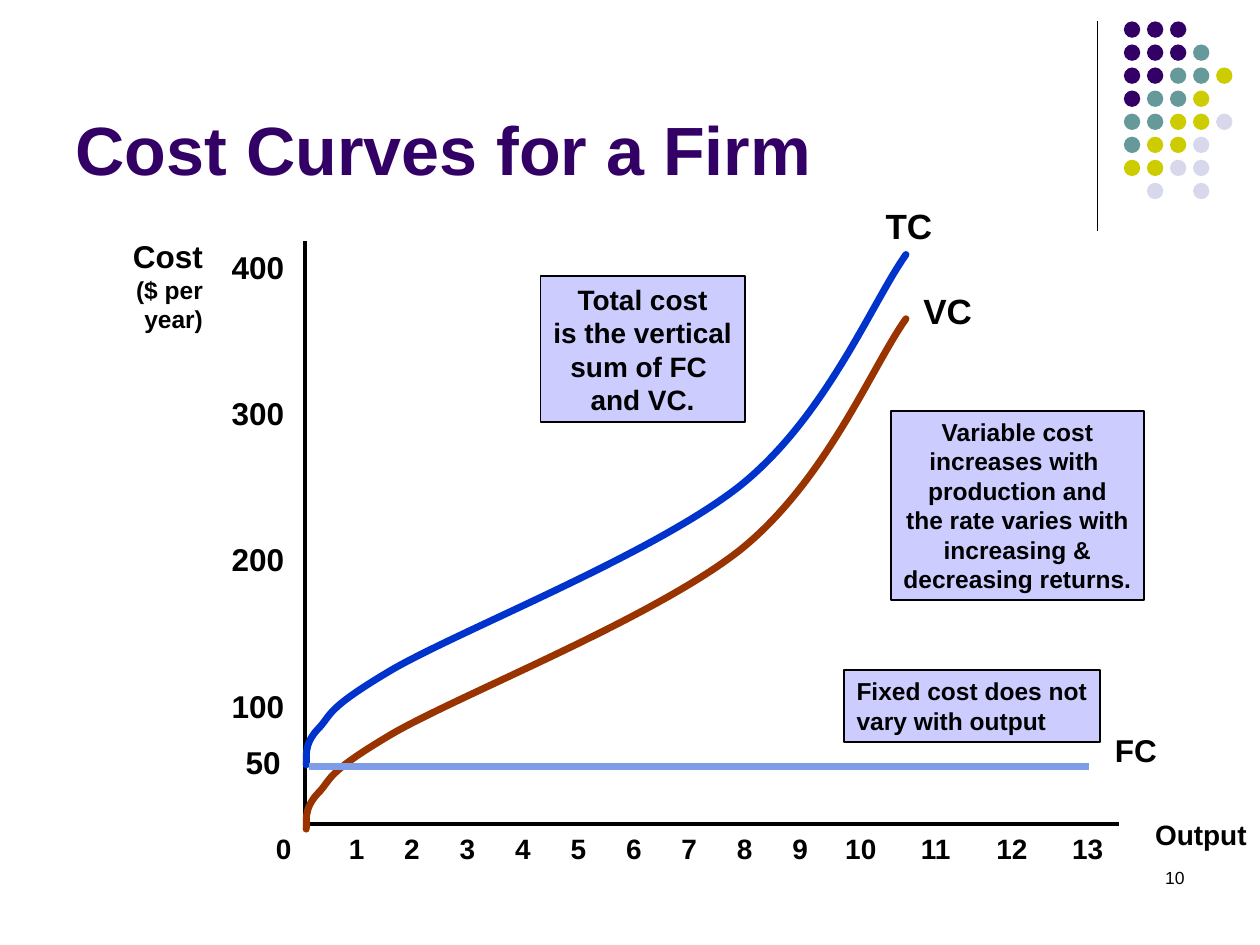
from typing import NamedTuple

from lxml import etree
from pptx import Presentation
from pptx.dml.color import RGBColor
from pptx.enum.shapes import MSO_CONNECTOR, MSO_SHAPE
from pptx.enum.text import MSO_ANCHOR, MSO_AUTO_SIZE, PP_ALIGN
from pptx.oxml.ns import qn
from pptx.util import Inches, Pt

LEFT, MID, RIGHT = PP_ALIGN.LEFT, PP_ALIGN.CENTER, PP_ALIGN.RIGHT
TOP, BOTTOM = MSO_ANCHOR.TOP, MSO_ANCHOR.BOTTOM
FIT, FIXED = MSO_AUTO_SIZE.SHAPE_TO_FIT_TEXT, MSO_AUTO_SIZE.NONE
RECT, OVAL = MSO_SHAPE.RECTANGLE, MSO_SHAPE.OVAL
STRAIGHT = MSO_CONNECTOR.STRAIGHT

BLACK, PURPLE, LILAC = "000000", "330066", "CCCCFF"
DOTS = {"P": PURPLE, "T": "669999", "Y": "CCCC00", "L": "D8D8EC"}
DOT_ROWS = ["PPP", "PPPT", "PPTTY", "PTTY", "TTYYL", "TYYL", "YYLL", " L L"]


class Box(NamedTuple):
    x: float
    y: float
    w: float
    h: float


class Label(NamedTuple):
    text: str
    box: Box
    size: float


class Note(NamedTuple):
    lines: list[str]
    box: Box
    size: float
    align: PP_ALIGN


class Line(NamedTuple):
    start: tuple[float, float]
    end: tuple[float, float]
    color: str
    width: float


class Curve(NamedTuple):
    rise: float
    color: str


# Start point, then three points (two handles and an end) for each Bezier arc
VC_POINTS = [
    (2.43, 6.58), (2.44, 6.53), (2.4, 6.43), (2.52, 6.3),
    (2.64, 6.18), (2.56, 6.15), (3.12, 5.82),
    (3.68, 5.5), (5.2, 4.9), (5.88, 4.36),
    (6.56, 3.81), (6.92, 2.91), (7.19, 2.53),
]
CURVES = [Curve(0, "993300"), Curve(0.51, "0033CC")]

RULE = Line((8.71, 0.17), (8.71, 1.83), BLACK, 0.75)
AXES = [
    Line((2.42, 1.91), (2.42, 6.57), BLACK, 2),
    Line((2.42, 6.54), (8.88, 6.54), BLACK, 2),
]
FIXED_COST = Line((2.45, 6.08), (8.64, 6.08), "7E9CE8", 4)

LABELS = [
    Label("Output", Box(9.07, 6.44, 0.96, 0.36), 16),
    Label("VC", Box(7.23, 2.25, 0.59, 0.43), 20),
    Label("TC", Box(6.93, 1.57, 0.57, 0.43), 20),
    Label("FC", Box(8.75, 5.75, 0.61, 0.4), 18),
    Label("50", Box(1.85, 5.85, 0.48, 0.4), 18),
    Label("0", Box(2.09, 6.55, 0.32, 0.36), 16),
]
LABELS += [Label(str(400 - 100 * i), Box(1.74, 1.92 + 1.16 * i, 0.62, 0.4), 18)
           for i in range(4)]
LABELS += [Label(str(n), Box(2.67 + 0.44 * (n - 1), 6.55, 0.32, 0.36), 16)
           for n in range(1, 10)]
LABELS += [Label(str(n), Box(6.61 + 0.6 * (n - 10), 6.55, 0.48, 0.36), 16)
           for n in range(10, 14)]

NOTES = [
    Note(["Variable cost", "increases with ", "production and", "the rate varies with",
          "increasing &", "decreasing returns."], Box(7.07, 3.26, 2.01, 1.5), 14, MID),
    Note(["Total cost", "is the vertical", "sum of FC ", "and VC."],
         Box(4.29, 2.19, 1.62, 1.16), 16, MID),
    Note(["Fixed cost does not", "vary with output"], Box(6.7, 5.32, 2.03, 0.57), 14, LEFT),
]


def rgb(color: str) -> RGBColor:
    return RGBColor.from_string(color)


def place(box: Box) -> list[int]:
    return [Inches(v) for v in box]


def write(shape, lines: list[str], *, sizes: list[float], color: str = BLACK,
          bold: bool = True, align: PP_ALIGN = LEFT, anchor: MSO_ANCHOR = TOP,
          wrap: bool = False, fit: MSO_AUTO_SIZE = FIT) -> None:
    """Fill a shape with one paragraph a line; the last size holds for the rest."""
    frame = shape.text_frame
    frame.text = "\n".join(lines)
    frame.word_wrap = wrap
    frame.auto_size = fit
    frame.vertical_anchor = anchor
    for i, par in enumerate(frame.paragraphs):
        par.alignment = align
        font = par.font
        font.name, font.bold = "Arial", bold
        font.size = Pt(sizes[min(i, len(sizes) - 1)])
        font.color.rgb = rgb(color)


def add_text(slide, lines: list[str], box: Box, **form) -> None:
    write(slide.shapes.add_textbox(*place(box)), lines, **form)


def add_line(slide, line: Line) -> None:
    ends = [Inches(v) for v in line.start + line.end]
    link = slide.shapes.add_connector(STRAIGHT, *ends)
    link.line.color.rgb = rgb(line.color)
    link.line.width = Pt(line.width)
    etree.SubElement(link._element.spPr, qn("a:effectLst"))


def add_dot(slide, row: int, col: int, color: str) -> None:
    step = 0.183
    dot = slide.shapes.add_shape(
        OVAL, *place(Box(8.92 + step * col, 0.17 + step * row, 0.13, 0.13)))
    dot.shadow.inherit = False
    dot.fill.solid()
    dot.fill.fore_color.rgb = rgb(color)
    dot.line.fill.background()


def add_note(slide, note: Note) -> None:
    shape = slide.shapes.add_shape(RECT, *place(note.box))
    shape.shadow.inherit = False
    shape.fill.solid()
    shape.fill.fore_color.rgb = rgb(LILAC)
    shape.line.color.rgb = rgb(BLACK)
    shape.line.width = Pt(1)
    write(shape, note.lines, sizes=[note.size], align=note.align)


def add_curve(slide, curve: Curve) -> None:
    """Draw the cost curve, turning each three straight segments into one arc."""
    start, *rest = [(Inches(x), Inches(y - curve.rise)) for x, y in VC_POINTS]
    pen = slide.shapes.build_freeform(*start)
    pen.add_line_segments(rest, close=False)
    shape = pen.convert_to_shape()
    shape.shadow.inherit = False
    shape.fill.background()
    shape.line.color.rgb = rgb(curve.color)
    shape.line.width = Pt(4)
    shape.line._get_or_add_ln().set("cap", "rnd")
    steps = list(shape._element.iter(qn("a:lnTo")))
    for i in range(0, len(steps), 3):
        arc = etree.Element(qn("a:cubicBezTo"))
        steps[i].addprevious(arc)
        for step in steps[i:i + 3]:
            arc.append(step[0])
            step.getparent().remove(step)


def main() -> None:
    deck = Presentation()
    deck.slide_width, deck.slide_height = Inches(10), Inches(7.5)
    slide = deck.slides.add_slide(deck.slide_layouts[5])

    add_line(slide, RULE)
    for row, marks in enumerate(DOT_ROWS):
        for col, mark in enumerate(marks):
            if mark in DOTS:
                add_dot(slide, row, col, DOTS[mark])

    title = slide.shapes.title
    title.left, title.top, title.width, title.height = place(Box(0.5, 0.13, 8.25, 1.42))
    write(title, ["Cost Curves for a Firm"], sizes=[39], color=PURPLE,
          anchor=BOTTOM, wrap=True, fit=FIXED)

    for axis in AXES:
        add_line(slide, axis)
    for curve in CURVES:
        add_curve(slide, curve)
    add_line(slide, FIXED_COST)
    for note in NOTES:
        add_note(slide, note)
    for label in LABELS:
        add_text(slide, [label.text], label.box, sizes=[label.size])
    add_text(slide, ["Cost", "($ per", "year)"], Box(0.91, 1.83, 0.8, 0.86),
             sizes=[18, 14], align=RIGHT)
    add_text(slide, ["10"], Box(7.17, 6.83, 2.33, 0.5), sizes=[10], bold=False,
             align=RIGHT, wrap=True, fit=FIXED)
    deck.save("out.pptx")


if __name__ == "__main__":
    main()
